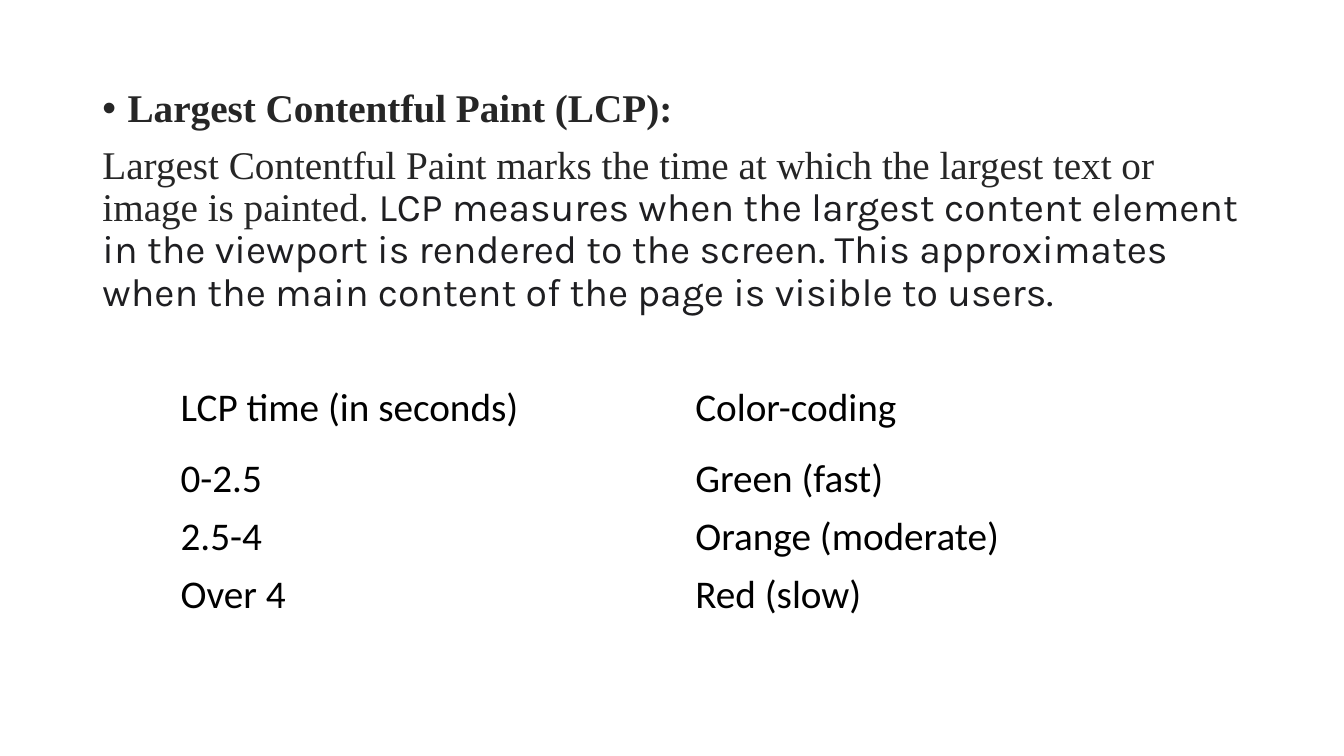
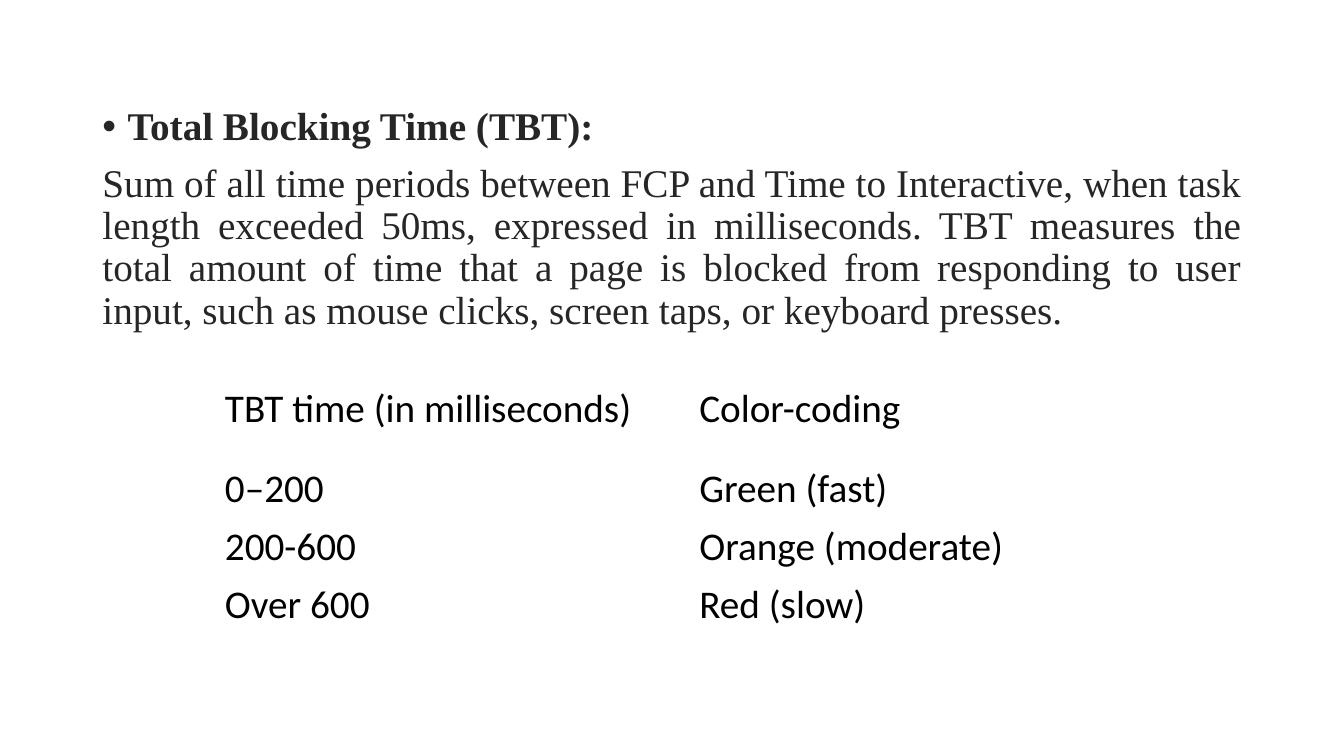
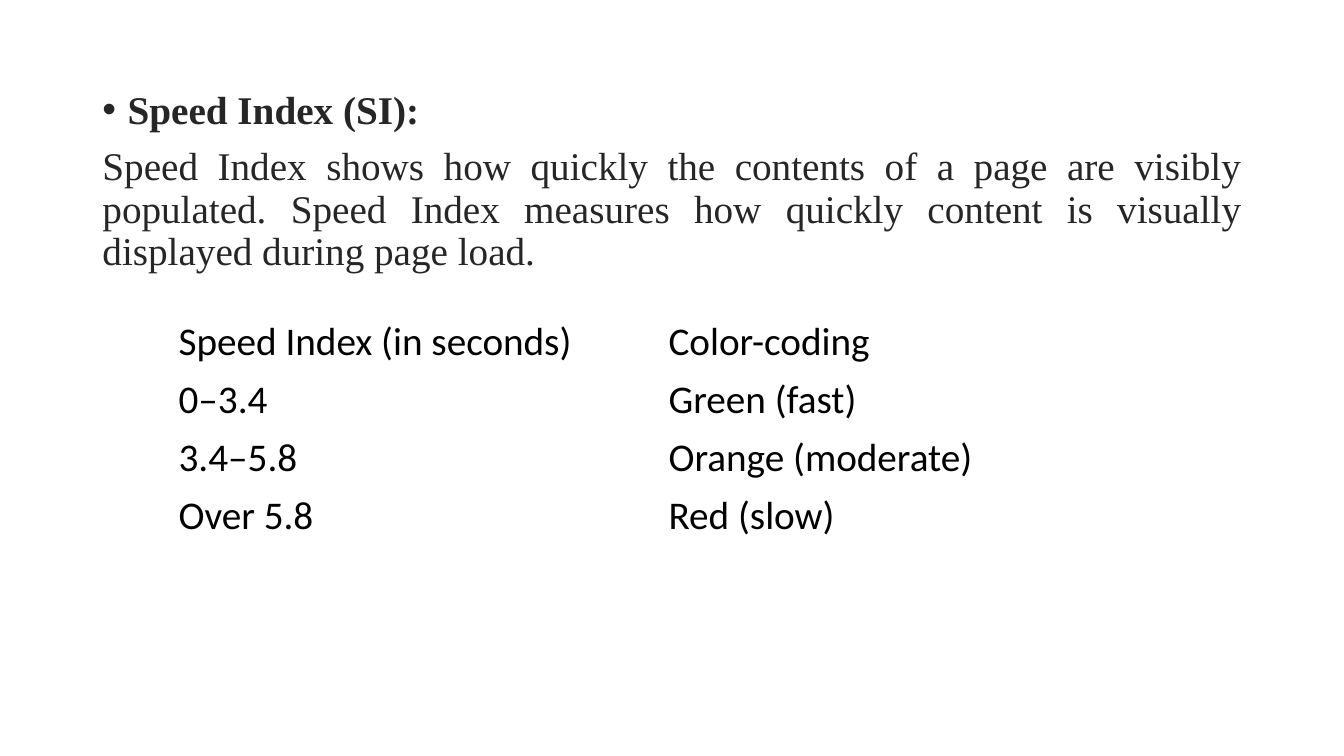
"""Build three slides on page speed metrics and their colour-coded ranges."""
from dataclasses import dataclass

import lxml.etree
import pptx
import pptx.dml.color
import pptx.enum.text
import pptx.oxml.ns
import pptx.util

Pt = pptx.util.Pt
ALIGN = pptx.enum.text.PP_ALIGN
ANCHOR = pptx.enum.text.MSO_ANCHOR
COLORS = {"body": "262626", "accent": "1E1E21", "cell": "000000", "paper": "FFFFFF"}
SERIF, SANS, CELL = "Times New Roman", "Karla", "Calibri"
RATINGS = ("Green (fast)", "Orange (moderate)", "Red (slow)")
BODY_LEFT, BODY_WIDTH, BODY_BOTTOM = 66, 828, 486
INDENT, ROW_HEIGHT = 18, 41.4


@dataclass
class Metric:
    heading: str
    text: str
    body_top: float
    table_left: float
    table_top: float
    col_width: float
    header_height: float
    header: str
    ranges: tuple[str, str, str]
    extra: str = ""
    align: ALIGN = ALIGN.JUSTIFY


METRICS = [
    Metric(
        "Largest Contentful Paint (LCP):",
        "Largest Contentful Paint marks the time at which the largest text or "
        "image is painted. ",
        60, 121.8, 261.4, 367.7, 59.8,
        "LCP time (in seconds)", ("0-2.5", "2.5-4", "Over 4"),
        extra="LCP measures when the largest content element in the viewport is "
        "rendered to the screen. This approximates when the main content of the "
        "page is visible to users.",
        align=ALIGN.LEFT,
    ),
    Metric(
        "Total Blocking Time (TBT):",
        "Sum of all time periods between FCP and Time to Interactive, when task "
        "length exceeded 50ms, expressed in milliseconds. TBT measures the total "
        "amount of time that a page is blocked from responding to user input, "
        "such as mouse clicks, screen taps, or keyboard presses.",
        72.7, 153.5, 255.8, 338.9, 72.7,
        "TBT time (in milliseconds)", ("0–200", "200-600", "Over 600"),
    ),
    Metric(
        "Speed Index (SI):",
        "Speed Index shows how quickly the contents of a page are visibly "
        "populated. Speed Index measures how quickly content is visually "
        "displayed during page load.",
        61, 120.4, 223.9, 350, ROW_HEIGHT,
        "Speed Index (in seconds)", ("0–3.4", "3.4–5.8", "Over 5.8"),
    ),
]


def add_text(p, text: str, *, font: str = SERIF, color: str = "body",
             size: float = 28, bold: bool = False) -> None:
    r = p.add_run()
    r.text = text
    r.font.name = font
    r.font.size = Pt(size)
    r.font.bold = bold
    r.font.color.rgb = pptx.dml.color.RGBColor.from_string(COLORS[color])


def format_paragraph(p, *, bullet: bool = False, before: float = 0,
                     align: ALIGN = ALIGN.LEFT) -> None:
    p.alignment = align
    p.line_spacing = 0.9
    p.space_before = Pt(before)
    p.space_after = Pt(0)
    pPr = p._p.get_or_add_pPr()
    indent = Pt(INDENT) if bullet else 0
    pPr.set("marL", str(indent))
    pPr.set("indent", str(-indent))
    qn = pptx.oxml.ns.qn
    if bullet:
        lxml.etree.SubElement(pPr, qn("a:buFont")).set("typeface", "Arial")
        lxml.etree.SubElement(pPr, qn("a:buChar")).set("char", "•")
    else:
        lxml.etree.SubElement(pPr, qn("a:buNone"))


def add_body(s, metric: Metric) -> None:
    sp = s.placeholders[1]
    sp.left, sp.top = Pt(BODY_LEFT), Pt(metric.body_top)
    sp.width, sp.height = Pt(BODY_WIDTH), Pt(BODY_BOTTOM - metric.body_top)
    tf = sp.text_frame
    tf.word_wrap = True
    tf.auto_size = pptx.enum.text.MSO_AUTO_SIZE.NONE
    tf.vertical_anchor = ANCHOR.TOP
    p = tf.paragraphs[0]
    format_paragraph(p, bullet=True)
    add_text(p, metric.heading, bold=True)
    p = tf.add_paragraph()
    format_paragraph(p, before=10, align=metric.align)
    add_text(p, metric.text)
    if metric.extra:
        add_text(p, metric.extra, font=SANS, color="accent")


def add_ranges(s, metric: Metric) -> None:
    rows = [(metric.header, "Color-coding"), *zip(metric.ranges, RATINGS)]
    heights = [metric.header_height] + [ROW_HEIGHT] * len(RATINGS)
    table = s.shapes.add_table(
        len(rows), 2, Pt(metric.table_left), Pt(metric.table_top),
        Pt(2 * metric.col_width), Pt(sum(heights))).table
    table.first_row = table.horz_banding = False
    for col in table.columns:
        col.width = Pt(metric.col_width)
    for i, (texts, height) in enumerate(zip(rows, heights)):
        table.rows[i].height = Pt(height)
        for j, text in enumerate(texts):
            cell = table.cell(i, j)
            cell.fill.solid()
            cell.fill.fore_color.rgb = pptx.dml.color.RGBColor.from_string(COLORS["paper"])
            cell.vertical_anchor = ANCHOR.TOP if i else ANCHOR.MIDDLE
            add_text(cell.text_frame.paragraphs[0], text, font=CELL, color="cell")


def main() -> None:
    prs = pptx.Presentation()
    prs.slide_width, prs.slide_height = Pt(960), Pt(540)
    for metric in METRICS:
        s = prs.slides.add_slide(prs.slide_layouts[1])
        title = s.shapes.title.element
        title.getparent().remove(title)
        add_body(s, metric)
        add_ranges(s, metric)
    prs.save("out.pptx")


if __name__ == "__main__":
    main()
